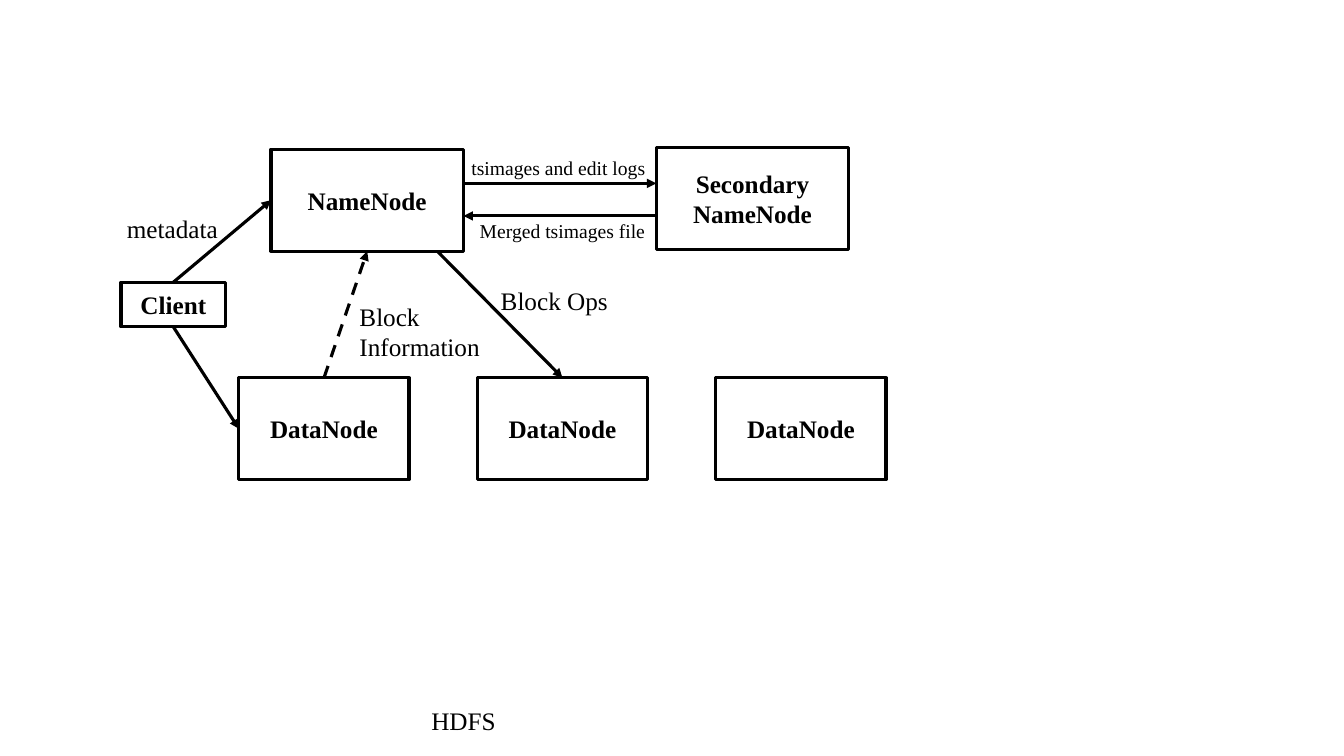
from dataclasses import dataclass

from lxml import etree
from pptx import Presentation
from pptx import util as u
from pptx.dml.color import RGBColor
from pptx.enum import dml, shapes, text
from pptx.oxml.ns import qn
from pptx.shapes.autoshape import Shape
from pptx.slide import Slide
from pptx.text.text import TextFrame

COLORS = {"ink": "000000", "paper": "FFFFFF"}
FONT = "Times New Roman"
LINE_WIDTH = u.Pt(2.25)
TOP, LEFT, BOTTOM = 0, 1, 2  # connection sites of a rectangle


@dataclass(frozen=True)
class Node:
    caption: str
    left: float
    top: float
    width: float
    height: float = 2.57


@dataclass(frozen=True)
class Label:
    wording: str
    left: float
    top: float
    width: float
    height: float = 1.02
    size: int = 18


@dataclass(frozen=True)
class Anchor:
    """A point in centimetres, or a connection site of a named node."""
    x: float = 0
    y: float = 0
    node: str = ""
    site: int = TOP


@dataclass(frozen=True)
class Arrow:
    start: Anchor
    end: Anchor
    dashed: bool = False


NODES = {
    "name": Node("NameNode", 6.83, 3.76, 4.85),
    "secondary": Node("Secondary\nNameNode", 16.54, 3.71, 4.85),
    "client": Node("Client", 3.05, 7.11, 2.64, 1.13),
} | {
    f"data{i}": Node("DataNode", 6.02 + 6.01 * i, 9.52, 4.29) for i in range(3)
}

ARROWS = [
    Arrow(Anchor(node="client", site=TOP), Anchor(node="name", site=LEFT)),
    Arrow(Anchor(node="client", site=BOTTOM), Anchor(node="data0", site=LEFT)),
    Arrow(Anchor(11.68, 4.62), Anchor(16.54, 4.62)),
    Arrow(Anchor(16.54, 5.44), Anchor(11.68, 5.44)),
    Arrow(Anchor(11.02, 6.33), Anchor(node="data1", site=TOP)),
    Arrow(Anchor(node="data0", site=TOP), Anchor(node="name", site=BOTTOM), dashed=True),
]

LABELS = [
    Label("metadata", 2.95, 5.26, 2.82),
    Label("Block\nInformation", 8.81, 7.47, 3.58, 1.8),
    Label("Block Ops", 12.37, 7.06, 3.23),
    Label("tsimages and edit logs", 11.63, 3.81, 4.93, 0.86, 14),
    Label("Merged tsimages file", 11.84, 5.38, 4.72, 0.86, 14),
    Label("HDFS", 10.62, 17.65, 2.16),
]


def color(name: str) -> RGBColor:
    return RGBColor.from_string(COLORS[name])


def write(frame: TextFrame, wording: str, *, size: int = 18, bold: bool = False,
          align: text.PP_ALIGN = text.PP_ALIGN.LEFT) -> None:
    frame.text = wording
    frame.word_wrap = False
    for paragraph in frame.paragraphs:
        paragraph.alignment = align
        for run in paragraph.runs:
            run.font.name = FONT
            run.font.size = u.Pt(size)
            run.font.bold = bold
            run.font.color.rgb = color("ink")


def draw_node(slide: Slide, node: Node) -> Shape:
    box = slide.shapes.add_shape(
        shapes.MSO_SHAPE.RECTANGLE, u.Cm(node.left), u.Cm(node.top),
        u.Cm(node.width), u.Cm(node.height))
    box.shadow.inherit = False
    box.fill.background()
    box.line.color.rgb = color("ink")
    box.line.width = LINE_WIDTH
    box.text_frame.vertical_anchor = text.MSO_ANCHOR.MIDDLE
    write(box.text_frame, node.caption, bold=True, align=text.PP_ALIGN.CENTER)
    return box


def draw_arrow(slide: Slide, arrow: Arrow, boxes: dict[str, Shape]) -> None:
    start, end = arrow.start, arrow.end
    link = slide.shapes.add_connector(
        shapes.MSO_CONNECTOR.STRAIGHT,
        u.Cm(start.x), u.Cm(start.y), u.Cm(end.x), u.Cm(end.y))
    if start.node:
        link.begin_connect(boxes[start.node], start.site)
    if end.node:
        link.end_connect(boxes[end.node], end.site)
    link.line.color.rgb = color("ink")
    link.line.width = LINE_WIDTH
    if arrow.dashed:
        link.line.dash_style = dml.MSO_LINE.DASH
    outline = link.line._get_or_add_ln()
    etree.SubElement(outline, qn("a:tailEnd"), type="triangle")
    etree.SubElement(link._element.spPr, qn("a:effectLst"))


def draw_label(slide: Slide, label: Label) -> None:
    box = slide.shapes.add_textbox(
        u.Cm(label.left), u.Cm(label.top), u.Cm(label.width), u.Cm(label.height))
    box.text_frame.auto_size = text.MSO_AUTO_SIZE.SHAPE_TO_FIT_TEXT
    write(box.text_frame, label.wording, size=label.size)


def main() -> None:
    deck = Presentation()
    deck.slide_width, deck.slide_height = u.Cm(33.87), u.Cm(19.05)
    slide = deck.slides.add_slide(deck.slide_layouts[6])
    slide.background.fill.solid()
    slide.background.fill.fore_color.rgb = color("paper")

    boxes = {key: draw_node(slide, node) for key, node in NODES.items()}
    for arrow in ARROWS:
        draw_arrow(slide, arrow, boxes)
    for label in LABELS:
        draw_label(slide, label)
    deck.save("out.pptx")


if __name__ == "__main__":
    main()
